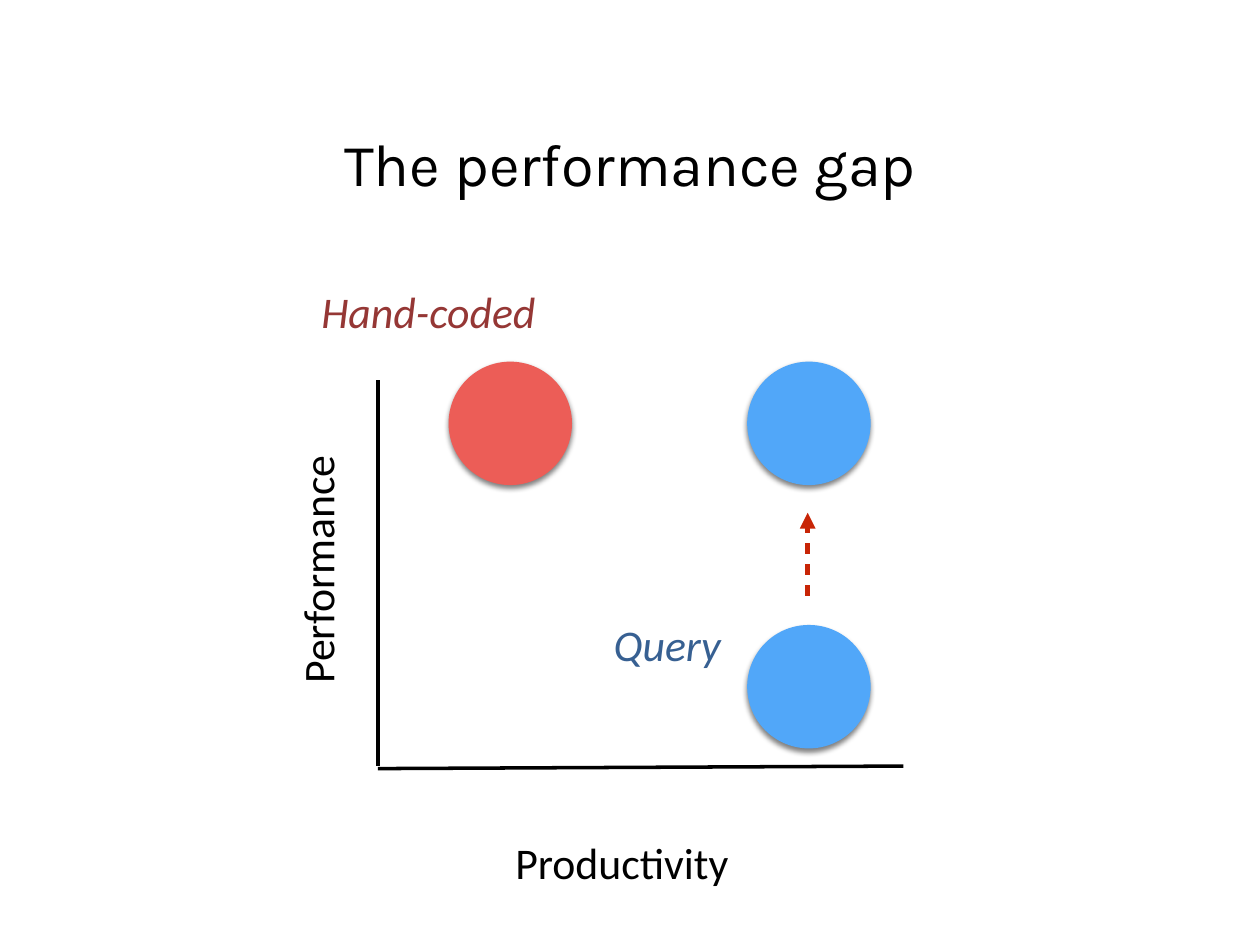
import pptx
import pptx.util
import pptx.dml.color
import pptx.enum.shapes
import pptx.enum.text
import pptx.oxml
import pptx.oxml.ns
from pptx.util import Inches

THEME = {
    "title_font": "Karla", "label_font": "Calibri",
    "title_size": 34, "label_size": 25,
    "black": "000000", "dark_red": "953735", "dark_blue": "376092",
    "arrow": "C82506", "blue": "51A7F9", "red": "EC5D57",
}

TITLE = ("The performance gap", (0.5, 0.83, 9, 0.92))
LABELS = [
    ("Performance", (1.46, 4.16, 2.11, 0.5), "black", False, 270),
    ("Productivity", (4.05, 6.59, 1.92, 0.5), "black", False, 0),
    ("Hand-coded", (2.51, 2.22, 2.08, 0.5), "dark_red", True, 0),
    ("Query", (4.83, 4.86, 1.12, 0.5), "dark_blue", True, 0),
]
DIAMETER = 0.98
QUERY_X, HAND_X = 5.93, 3.56
LOW_Y, HIGH_Y = 4.96, 2.87
CIRCLES = [
    (QUERY_X, LOW_Y, "blue"),
    (QUERY_X, HIGH_Y, "blue"),
    (HAND_X, HIGH_Y, "red"),
]
ARROW = ((6.41, 4.73), (6.41, 4.07))
AXES = [((3, 3.02), (3, 6.08)), ((7.17, 6.08), (3, 6.1))]

NAMESPACE = pptx.oxml.ns.nsdecls("a")
SHADOW = (
    f'<a:effectLst {NAMESPACE}><a:outerShdw blurRad="38100" dist="25400" dir="5400000" '
    'rotWithShape="0"><a:srgbClr val="000000"><a:alpha val="50000"/></a:srgbClr>'
    '</a:outerShdw></a:effectLst>'
)
NO_EFFECT = f"<a:effectLst {NAMESPACE}/>"
DASH = f'<a:custDash {NAMESPACE}><a:ds d="200000" sp="200000"/></a:custDash>'
ARROWHEAD = f'<a:tailEnd {NAMESPACE} type="triangle"/>'


def color(name):
    return pptx.dml.color.RGBColor.from_string(THEME[name])


def append_xml(parent, xml):
    parent.append(pptx.oxml.parse_xml(xml))


def style_text(frame, text, kind, color_name, italic=False):
    frame.text = text
    frame.vertical_anchor = pptx.enum.text.MSO_ANCHOR.MIDDLE
    font = frame.paragraphs[0].runs[0].font
    font.name = THEME[f"{kind}_font"]
    font.size = pptx.util.Pt(THEME[f"{kind}_size"])
    font.italic = italic
    font.color.rgb = color(color_name)


def add_title(slide, text, place):
    title = slide.shapes.title
    title.left, title.top, title.width, title.height = map(Inches, place)
    style_text(title.text_frame, text, "title", "black")
    title.text_frame.paragraphs[0].alignment = pptx.enum.text.PP_ALIGN.CENTER


def add_label(slide, text, place, color_name, italic, rotation):
    box = slide.shapes.add_textbox(*map(Inches, place))
    box.rotation = rotation
    frame = box.text_frame
    frame.margin_left = frame.margin_right = Inches(0.04)
    frame.margin_top = frame.margin_bottom = Inches(0.04)
    frame.word_wrap = False
    frame.auto_size = pptx.enum.text.MSO_AUTO_SIZE.SHAPE_TO_FIT_TEXT
    style_text(frame, text, "label", color_name, italic)


def add_line(slide, start, end, color_name, width):
    connector = slide.shapes.add_connector(
        pptx.enum.shapes.MSO_CONNECTOR.STRAIGHT, *map(Inches, start + end))
    connector.line.color.rgb = color(color_name)
    connector.line.width = pptx.util.Pt(width)
    append_xml(connector._element.spPr, NO_EFFECT)
    return connector


def add_circle(slide, left, top, color_name):
    circle = slide.shapes.add_shape(
        pptx.enum.shapes.MSO_SHAPE.OVAL,
        *map(Inches, (left, top, DIAMETER, DIAMETER)))
    circle.fill.solid()
    circle.fill.fore_color.rgb = color(color_name)
    circle.line.fill.background()
    append_xml(circle._element.spPr, SHADOW)


def main():
    deck = pptx.Presentation()
    deck.slide_width, deck.slide_height = Inches(10), Inches(7.5)
    slide = deck.slides.add_slide(deck.slide_layouts[5])
    add_title(slide, *TITLE)
    for label in LABELS:
        add_label(slide, *label)
    arrow = add_line(slide, *ARROW, "arrow", 3)
    outline = arrow.line._get_or_add_ln()
    append_xml(outline, DASH)
    append_xml(outline, ARROWHEAD)
    for circle in CIRCLES:
        add_circle(slide, *circle)
    for axis in AXES:
        add_line(slide, *axis, "black", 2)
    deck.save("out.pptx")


if __name__ == "__main__":
    main()
